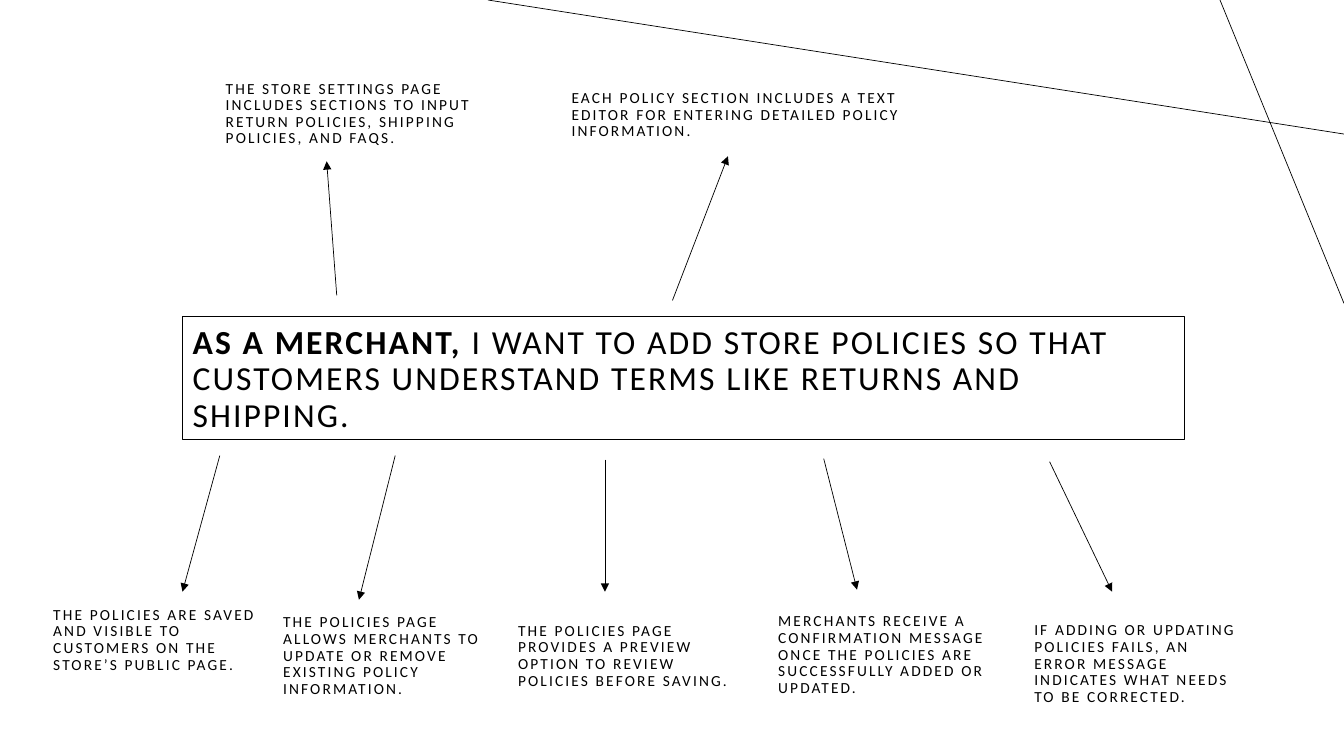
from dataclasses import dataclass

from lxml.etree import SubElement
from pptx import Presentation
from pptx.dml.color import RGBColor
from pptx.enum.text import MSO_ANCHOR, MSO_AUTO_SIZE, PP_ALIGN
from pptx.enum.shapes import MSO_CONNECTOR
from pptx.oxml.ns import qn
from pptx.util import Inches, Pt


@dataclass(frozen=True)
class Theme:
    font: str = "Calibri"
    ink: RGBColor = RGBColor(0, 0, 0)
    paper: RGBColor = RGBColor(255, 255, 255)
    title_size: float = 24
    note_size: float = 11
    letter_spacing: float = 1.5
    line_spacing: float = 0.9
    thin_line: float = 0.5
    frame_line: float = 1


def add_text(paragraph, text, *, theme, size, bold=False):
    run = paragraph.add_run()
    run.text = text
    run.font.name = theme.font
    run.font.size = Pt(size)
    run.font.bold = bold
    run.font.color.rgb = theme.ink
    run._r.get_or_add_rPr().set("spc", str(int(theme.letter_spacing * 100)))


class StorySlide:
    def __init__(self, presentation, theme):
        self.theme = theme
        self.slide = presentation.slides.add_slide(presentation.slide_layouts[5])
        background = self.slide.background.fill
        background.solid()
        background.fore_color.rgb = theme.paper

    def prepare_paragraph(self, shape):
        frame = shape.text_frame
        frame.word_wrap = True
        frame.auto_size = MSO_AUTO_SIZE.NONE
        frame.vertical_anchor = MSO_ANCHOR.BOTTOM
        paragraph = frame.paragraphs[0]
        paragraph.alignment = PP_ALIGN.LEFT
        paragraph.line_spacing = self.theme.line_spacing
        paragraph.space_before = Pt(0)
        return paragraph

    def title(self, box, lead, rest):
        shape = self.slide.shapes.title
        shape.left, shape.top, shape.width, shape.height = map(Inches, box)
        shape.fill.solid()
        shape.fill.fore_color.rgb = self.theme.paper
        shape.line.color.rgb = self.theme.ink
        shape.line.width = Pt(self.theme.frame_line)
        paragraph = self.prepare_paragraph(shape)
        size = self.theme.title_size
        add_text(paragraph, lead, theme=self.theme, size=size, bold=True)
        add_text(paragraph, rest, theme=self.theme, size=size)

    def note(self, box, text):
        shape = self.slide.shapes.add_textbox(*map(Inches, box))
        paragraph = self.prepare_paragraph(shape)
        add_text(paragraph, text, theme=self.theme, size=self.theme.note_size)

    def line(self, start, end, arrow=False):
        connector = self.slide.shapes.add_connector(
            MSO_CONNECTOR.STRAIGHT, *map(Inches, (*start, *end)))
        connector.line.color.rgb = self.theme.ink
        connector.line.width = Pt(self.theme.thin_line)
        if arrow:
            SubElement(connector.line._get_or_add_ln(), qn("a:tailEnd"), type="triangle")
        SubElement(connector._element.spPr, qn("a:effectLst"))


# Each criterion: arrow start, arrow end, note box, note text
CRITERIA = [
    ((2.18, 4.52), (1.81, 5.87), (0.43, 5.79, 2.3, 0.94),
     "THE POLICIES ARE SAVED AND VISIBLE TO CUSTOMERS ON THE STORE’S PUBLIC PAGE."),
    ((3.92, 4.52), (3.56, 5.95), (2.71, 5.87, 2.39, 1.1),
     "THE POLICIES PAGE ALLOWS MERCHANTS TO UPDATE OR REMOVE EXISTING POLICY INFORMATION."),
    ((6, 4.56), (6, 5.87), (5.04, 5.79, 2.39, 1.1),
     "THE POLICIES PAGE PROVIDES A PREVIEW OPTION TO REVIEW POLICIES BEFORE SAVING."),
    ((8.17, 4.55), (8.5, 5.85), (7.62, 6.09, 2.3, 0.87),
     "MERCHANTS RECEIVE A CONFIRMATION MESSAGE ONCE THE POLICIES ARE "
     "SUCCESSFULLY ADDED OR UPDATED."),
    ((10.41, 4.58), (11.03, 5.87), (10.16, 5.88, 2.3, 1.17),
     "IF ADDING OR UPDATING POLICIES FAILS, AN ERROR MESSAGE INDICATES "
     "WHAT NEEDS TO BE CORRECTED."),
    ((3.34, 2.93), (3.24, 1.6), (2.14, 0.61, 2.72, 0.9),
     "THE STORE SETTINGS PAGE INCLUDES SECTIONS TO INPUT RETURN POLICIES, "
     "SHIPPING POLICIES, AND FAQS."),
    ((6.67, 2.98), (7.22, 1.55), (5.57, 0.68, 3.88, 0.76),
     "EACH POLICY SECTION INCLUDES A TEXT EDITOR FOR ENTERING DETAILED POLICY INFORMATION."),
]


def main():
    presentation = Presentation()
    presentation.slide_width = Inches(13.33)
    presentation.slide_height = Inches(7.5)
    story = StorySlide(presentation, Theme())

    # Corner decoration
    story.line((13.33, 1.33), (4.84, 0))
    story.line((12.1, 0), (13.33, 3.01))

    # User story
    story.title((1.81, 3.14, 9.94, 1.22), "AS A MERCHANT, ",
                "I WANT TO ADD STORE POLICIES SO THAT CUSTOMERS UNDERSTAND "
                "TERMS LIKE RETURNS AND SHIPPING.")

    # Acceptance criteria
    for start, end, box, text in CRITERIA:
        story.line(start, end, arrow=True)
        story.note(box, text)

    presentation.save("out.pptx")


if __name__ == "__main__":
    main()
